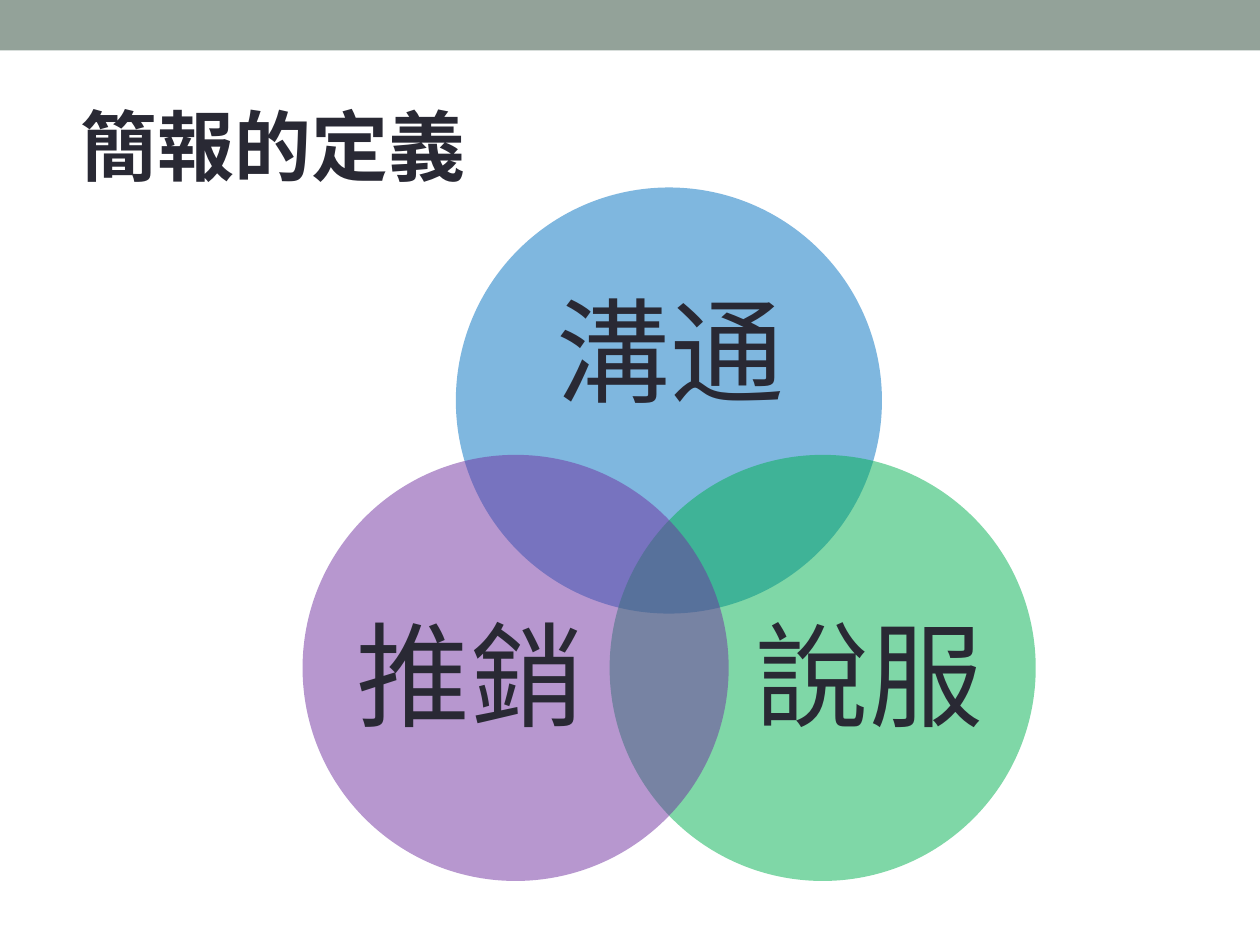
import pptx
import pptx.util
import pptx.dml.color
import pptx.enum.shapes
import pptx.enum.text
import lxml.etree
import pptx.oxml.ns

Cm = pptx.util.Cm
Pt = pptx.util.Pt
RGB = pptx.dml.color.RGBColor
SHAPE = pptx.enum.shapes.MSO_SHAPE
MID = pptx.enum.text.MSO_ANCHOR.MIDDLE
CENTER = pptx.enum.text.PP_ALIGN.CENTER

SAGE = RGB(0x93, 0xA2, 0x99)
INK = RGB(0x29, 0x29, 0x34)
BLUE = RGB(0x00, 0x70, 0xC0)
GREEN = RGB(0x00, 0xB0, 0x50)
PURPLE = RGB(0x70, 0x30, 0xA0)


def paint(shape, color):
    shape.shadow.inherit = False
    shape.fill.solid()
    shape.fill.fore_color.rgb = color
    shape.line.fill.background()


def write(shape, text, size, bold=False):
    frame = shape.text_frame
    frame.text = text
    frame.vertical_anchor = MID
    par = frame.paragraphs[0]
    par.alignment = CENTER
    par.font.name = "Arial"
    par.font.size = Pt(size)
    par.font.bold = bold
    par.font.color.rgb = INK
    return frame


deck = pptx.Presentation()
deck.slide_width = Cm(25.4)
deck.slide_height = Cm(19.05)
slide = deck.slides.add_slide(deck.slide_layouts[5])

bar = slide.shapes.add_shape(SHAPE.RECTANGLE, 0, 0, deck.slide_width, Cm(1.02))
paint(bar, SAGE)

title = slide.shapes.title
title.left, title.top = Cm(1.3), Cm(1.85)
title.width, title.height = Cm(8.41), Cm(2.13)
frame = write(title, "簡報的定義", 44, True)
frame.auto_size = pptx.enum.text.MSO_AUTO_SIZE.NONE
frame.word_wrap = False

size = Cm(8.59)
rings = [
    ("溝通", BLUE, (9.19, 3.78), (10.36, 5.28, 6.3, 3.86)),
    ("說服", GREEN, (12.29, 9.17), (14.94, 11.38, 5.16, 4.72)),
    ("推銷", PURPLE, (6.1, 9.17), (6.91, 11.38, 5.16, 4.72)),
]
venn = slide.shapes.add_group_shape()
for text, color, (left, top), area in rings:
    ring = venn.shapes.add_shape(SHAPE.OVAL, Cm(left), Cm(top), size, size)
    paint(ring, color)
    tint = ring.fill._xPr.find(".//" + pptx.oxml.ns.qn("a:srgbClr"))
    lxml.etree.SubElement(tint, pptx.oxml.ns.qn("a:alpha"), val="50000")

    label = venn.shapes.add_textbox(*map(Cm, area))
    frame = write(label, text, 65)
    frame.word_wrap = True
    frame.margin_left = frame.margin_right = 0
    frame.margin_top = frame.margin_bottom = 0
    frame.paragraphs[0].line_spacing = 0.9

deck.save("out.pptx")
